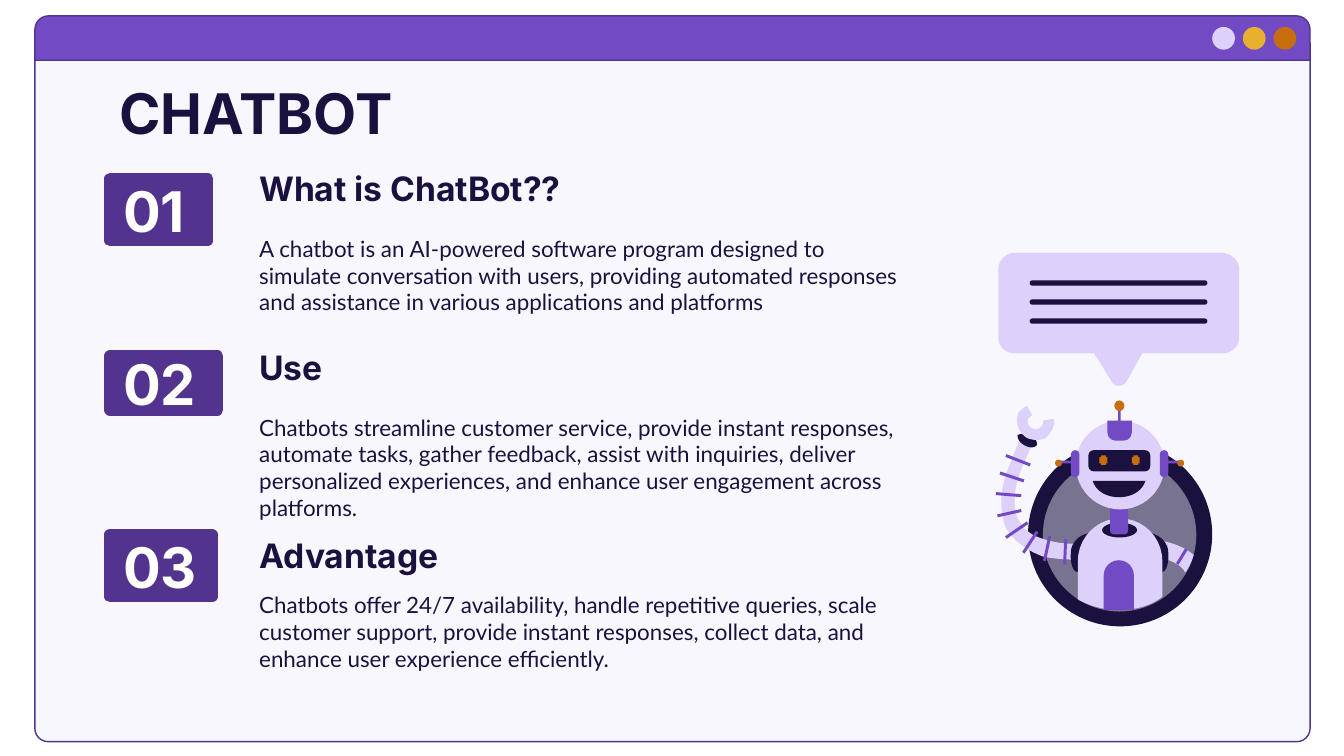
import lxml.etree
import pptx
import pptx.dml.color
import pptx.enum.shapes
import pptx.enum.text
import pptx.oxml.ns
import pptx.util

Cm = pptx.util.Cm
Pt = pptx.util.Pt
KIND = pptx.enum.shapes.MSO_SHAPE
ANCHOR = pptx.enum.text.MSO_ANCHOR

INK = "1A113F"
VIOLET = "724AC3"
DEEP_VIOLET = "52348F"
LILAC = "DDD0FB"
AMBER = "E7B02F"
ORANGE = "C76D0D"
WHITE = "FFFFFF"
AXIS = 21.16  # the robot's line of symmetry


def color(value):
    return pptx.dml.color.RGBColor.from_string(value)


def mirror(points):
    return [(round(2 * AXIS - x, 2), y) for x, y in points]


def bezier(a, b, c, d, steps=10):
    for i in range(1, steps + 1):
        t = i / steps
        u = 1 - t
        yield tuple(u**3 * p + 3 * u * u * t * q + 3 * u * t * t * r + t**3 * s
                    for p, q, r, s in zip(a, b, c, d))


class SlideBuilder:
    heading_font = "Inter"
    body_font = "Lato"

    def __init__(self, slide):
        self.slide = slide
        self.shapes = slide.shapes

    def paint(self, shape, fill, line=None, width=0.75, opacity=None):
        shape.shadow.inherit = False
        shape.fill.solid()
        shape.fill.fore_color.rgb = color(fill)
        if opacity:
            rgb = shape.element.spPr.find(".//" + pptx.oxml.ns.qn("a:srgbClr"))
            lxml.etree.SubElement(rgb, pptx.oxml.ns.qn("a:alpha"), val=str(opacity * 1000))
        if line:
            shape.line.color.rgb = color(line)
            shape.line.width = Pt(width)
        else:
            shape.line.fill.background()

    def shape(self, kind, box, fill, adjust=(), **style):
        shape = self.shapes.add_shape(kind, *map(Cm, box))
        for i, value in enumerate(adjust):
            shape.adjustments[i] = value
        self.paint(shape, fill, **style)
        return shape

    def outline(self, fill, start, *segments):
        """Each segment is one point for a line, or three for a cubic curve."""
        points = [start]
        for segment in segments:
            points.extend(bezier(points[-1], *segment) if len(segment) == 3 else segment)
        (x, y), *rest = [(Cm(x), Cm(y)) for x, y in points]
        builder = self.shapes.build_freeform(x, y)
        builder.add_line_segments(rest, close=True)
        self.paint(builder.convert_to_shape(), fill)

    def stripe(self, x1, y1, x2, y2):
        stripe = self.shapes.add_connector(
            pptx.enum.shapes.MSO_CONNECTOR.STRAIGHT, Cm(x1), Cm(y1), Cm(x2), Cm(y2))
        stripe.line.color.rgb = color(VIOLET)
        stripe.line.width = Pt(1.6)
        lxml.etree.SubElement(stripe.element.spPr, pptx.oxml.ns.qn("a:effectLst"))

    def set_text(self, shape, text, size, font=heading_font, bold=True, ink=INK,
                 anchor=ANCHOR.TOP):
        frame = shape.text_frame
        frame.word_wrap = True
        frame.auto_size = pptx.enum.text.MSO_AUTO_SIZE.NONE
        frame.vertical_anchor = anchor
        frame.margin_left = frame.margin_right = Cm(0.25)
        frame.margin_top = frame.margin_bottom = Cm(0.25)
        paragraph = frame.paragraphs[0]
        paragraph.alignment = pptx.enum.text.PP_ALIGN.LEFT
        run = paragraph.add_run()
        run.text = text
        run.font.name = font
        run.font.size = Pt(size)
        run.font.bold = bold
        run.font.color.rgb = color(ink)

    def text(self, box, text, size, **style):
        self.set_text(self.shapes.add_textbox(*map(Cm, box)), text, size, **style)

    def title(self, box, text):
        title = self.shapes.title
        title.left, title.top, title.width, title.height = map(Cm, box)
        title.element.getparent().append(title.element)  # in front of the window
        self.set_text(title, text, 30)


def draw_window(page):
    page.shape(KIND.ROUND_2_SAME_RECTANGLE, (0.66, 0.81, 24.1, 13.21), LILAC,
               (0, 0.019), line=DEEP_VIOLET, opacity=15)
    page.shape(KIND.ROUND_2_SAME_RECTANGLE, (0.66, 0.3, 24.1, 0.84), VIOLET,
               (0.31, 0), line=DEEP_VIOLET)
    for i, fill in enumerate((LILAC, AMBER, ORANGE)):
        page.shape(KIND.OVAL, (22.91 + 0.58 * i, 0.51, 0.43, 0.43), fill)


def draw_topics(page):
    # number, badge top/width/height, heading, heading top, text, text top/width/height
    topics = [
        ("01", (3.38, 1.85, 1.17), "What is ChatBot??", 3.02,
         "A chatbot is an AI-powered software program designed to simulate conversation "
         "with users, providing automated responses and assistance in various "
         "applications and platforms", (4.19, 12.83, 1.88)),
        ("02", (6.73, 2.03, 1.02), "Use", 6.4,
         "Chatbots streamline customer service, provide instant responses, automate tasks, "
         "gather feedback, assist with inquiries, deliver personalized experiences, and "
         "enhance user engagement across platforms.", (7.57, 13.08, 2.31)),
        ("03", (10.11, 1.93, 1.17), "Advantage", 9.96,
         "Chatbots offer 24/7 availability, handle repetitive queries, scale customer "
         "support, provide instant responses, collect data, and enhance user experience "
         "efficiently.", (10.92, 12.83, 1.88)),
    ]
    for number, (top, *size), heading, heading_top, body, body_box in topics:
        badge = page.shape(KIND.RECTANGLE, (2.08, top, *size), DEEP_VIOLET,
                           line=DEEP_VIOLET, width=6)
        page.set_text(badge, number, 30, ink=WHITE, anchor=ANCHOR.MIDDLE)
        page.text((4.65, heading_top, 12.83, 1.17), heading, 18, anchor=ANCHOR.BOTTOM)
        page.text((4.65, *body_box), body, 12, font=page.body_font, bold=False)


def draw_arms(page):
    # Raised arm, cuff and claw
    page.outline(LILAC, (19.48, 8.46),
                 [(19.38, 8.71), (19.13, 9.14), (19.18, 9.58)],
                 [(19.2, 9.83), (19.35, 10.03), (19.56, 10.13)],
                 [(19.86, 10.26), (20.24, 10.31), (20.45, 10.26)],
                 [(20.65, 10.26), (20.65, 10.57), (20.47, 10.57)],
                 [(20.24, 10.59), (19.94, 10.57), (19.71, 10.52)],
                 [(19.41, 10.41), (19.13, 10.21), (19, 9.96)],
                 [(18.9, 9.65), (18.87, 9.27), (19.08, 8.79)],
                 [(19.13, 8.66), (19.2, 8.48), (19.25, 8.36)],
                 [(19.35, 8.18), (19.56, 8.31), (19.48, 8.46)])
    page.outline(INK, (19.23, 8.23),
                 [(19.33, 8.15), (19.61, 8.23), (19.6, 8.41)],
                 [(19.53, 8.53), (19.23, 8.41), (19.23, 8.23)])
    page.outline(LILAC, (19.41, 8.28),
                 [(19.25, 8.18), (19.18, 7.98), (19.25, 7.8)],
                 [(19.3, 7.75), (19.35, 7.7), (19.41, 7.67)], [(19.51, 7.85)],
                 [(19.38, 7.9), (19.41, 8.05), (19.51, 8.1)],
                 [(19.63, 8.15), (19.74, 8.05), (19.71, 7.95)], [(19.91, 7.92)],
                 [(19.96, 8.03), (19.86, 8.2), (19.76, 8.28)],
                 [(19.66, 8.33), (19.53, 8.33), (19.41, 8.28)])
    # Lowered arm
    page.outline(LILAC, (21.84, 10.21),
                 [(21.62, 10.21), (21.59, 10.52), (21.82, 10.52)],
                 [(21.95, 10.54), (22.3, 10.62), (22.4, 10.82)],
                 [(22.48, 10.72), (22.53, 10.59), (22.56, 10.49)],
                 [(22.3, 10.26), (21.89, 10.21), (21.84, 10.21)])
    for ends in ((19.01, 8.61, 19.47, 8.79), (18.9, 8.94, 19.35, 9.09),
                 (18.82, 9.33, 19.3, 9.37), (18.85, 9.75, 19.3, 9.65),
                 (19.01, 10.16, 19.42, 9.88), (19.34, 10.45, 19.6, 10.05),
                 (19.74, 10.6, 19.84, 10.13), (20.12, 10.67, 20.14, 10.19),
                 (22.25, 10.66, 22.42, 10.38)):
        page.stripe(*ends)
    # Shoulders
    shoulder = [(20.4, 10.8), (20.27, 10.87), (20.22, 10.59), (20.24, 10.44),
                (20.24, 10.26), (20.4, 10.11), (20.57, 10.08)]
    for side in (shoulder, mirror(shoulder)):
        page.outline(INK, side[0], side[1:4], side[4:])


def draw_robot(page):
    # Porthole
    page.shape(KIND.OVAL, (19.43, 8.36, 3.48, 3.48), INK)
    page.shape(KIND.OVAL, (19.71, 8.66, 2.9, 2.9), WHITE, opacity=41)
    draw_arms(page)
    # Torso, belly, collar and neck
    page.outline(LILAC, (21.17, 9.8),
                 [(20.73, 9.8), (20.37, 10.16), (20.37, 10.62)], [(20.37, 11.33)],
                 [(20.6, 11.46), (20.85, 11.53), (21.15, 11.53)],
                 [(21.46, 11.53), (21.74, 11.46), (21.97, 11.28)], [(21.97, 10.62)],
                 [(21.97, 10.16), (21.61, 9.8), (21.17, 9.8)])
    page.shape(KIND.ROUND_2_SAME_RECTANGLE, (20.86, 10.59, 0.57, 0.94), VIOLET, (0.5, 0))
    page.shape(KIND.OVAL, (20.83, 9.88, 0.66, 0.28), INK)
    page.shape(KIND.ROUND_2_SAME_RECTANGLE, (20.98, 9.5, 0.34, 0.6), VIOLET, (0, 0.2))
    # Head, mouth and visor
    page.shape(KIND.OVAL, (20.33, 7.95, 1.68, 1.68), LILAC)
    page.outline(INK, (20.65, 9.09),
                 [(20.72, 9.3), (20.93, 9.4), (21.15, 9.4)],
                 [(21.37, 9.4), (21.58, 9.3), (21.65, 9.09)])
    page.shape(KIND.ROUNDED_RECTANGLE, (20.57, 8.51, 1.17, 0.4), INK, (0.25,))
    # Eyes, ears and side antennas, on both sides
    for kind, (x, y, w, h), fill, adjust in (
            (KIND.CROSS, (20.78, 8.61, 0.15, 0.18), ORANGE, (0.2,)),
            (KIND.ROUNDED_RECTANGLE, (20.24, 8.51, 0.16, 0.51), VIOLET, (0.5,)),
            (KIND.RECTANGLE, (19.99, 8.71, 0.3, 0.05), VIOLET, ()),
            (KIND.OVAL, (19.94, 8.69, 0.13, 0.13), ORANGE, ())):
        for left in (x, 2 * AXIS - x - w):
            page.shape(kind, (left, y, w, h), fill, adjust)
    # Cap and top antenna
    page.shape(KIND.ROUND_2_SAME_RECTANGLE, (20.93, 7.95, 0.46, 0.38), VIOLET, (0, 0.4))
    page.shape(KIND.RECTANGLE, (21.13, 7.67, 0.05, 0.3), VIOLET)
    page.shape(KIND.OVAL, (21.06, 7.57, 0.19, 0.2), ORANGE)


def draw_speech_bubble(page):
    page.outline(LILAC, (23.09, 4.78), [(19.18, 4.78)],
                 [(19, 4.78), (18.87, 4.93), (18.87, 5.08)], [(18.87, 6.38)],
                 [(18.87, 6.55), (19, 6.68), (19.18, 6.68)], [(20.68, 6.68)],
                 [(21.01, 7.21)], [(21.06, 7.32), (21.23, 7.32), (21.29, 7.21)],
                 [(21.59, 6.68)], [(23.09, 6.68)],
                 [(23.27, 6.68), (23.42, 6.55), (23.42, 6.38)], [(23.42, 5.08)],
                 [(23.42, 4.93), (23.27, 4.78), (23.09, 4.78)])
    for i in range(3):
        page.shape(KIND.ROUNDED_RECTANGLE, (19.46, 5.3 + 0.36 * i, 3.36, 0.1), INK, (0.5,))


def main():
    deck = pptx.Presentation()
    deck.slide_width, deck.slide_height = Cm(25.4), Cm(14.29)
    page = SlideBuilder(deck.slides.add_slide(deck.slide_layouts[5]))
    draw_window(page)
    page.title((2.01, 1.24, 21.41, 1.6), "CHATBOT")
    draw_topics(page)
    draw_robot(page)
    draw_speech_bubble(page)
    deck.save("out.pptx")


if __name__ == "__main__":
    main()
